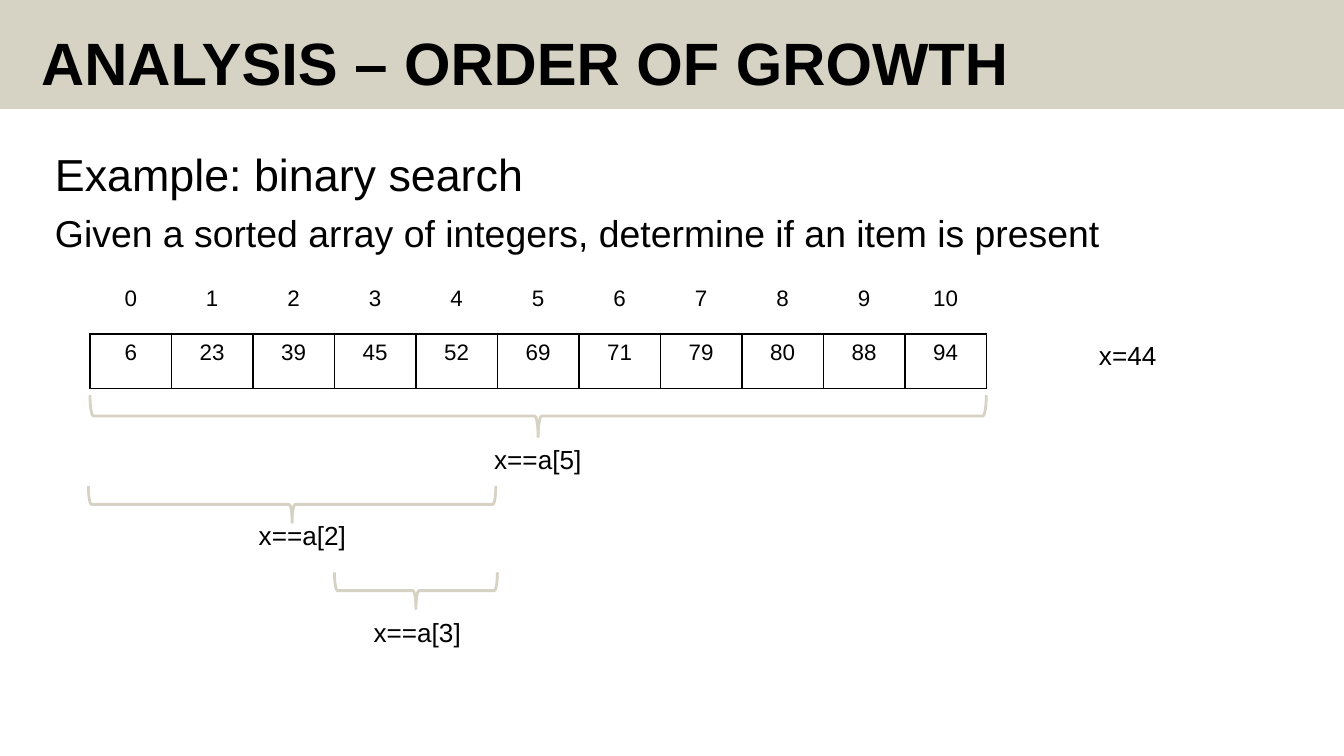
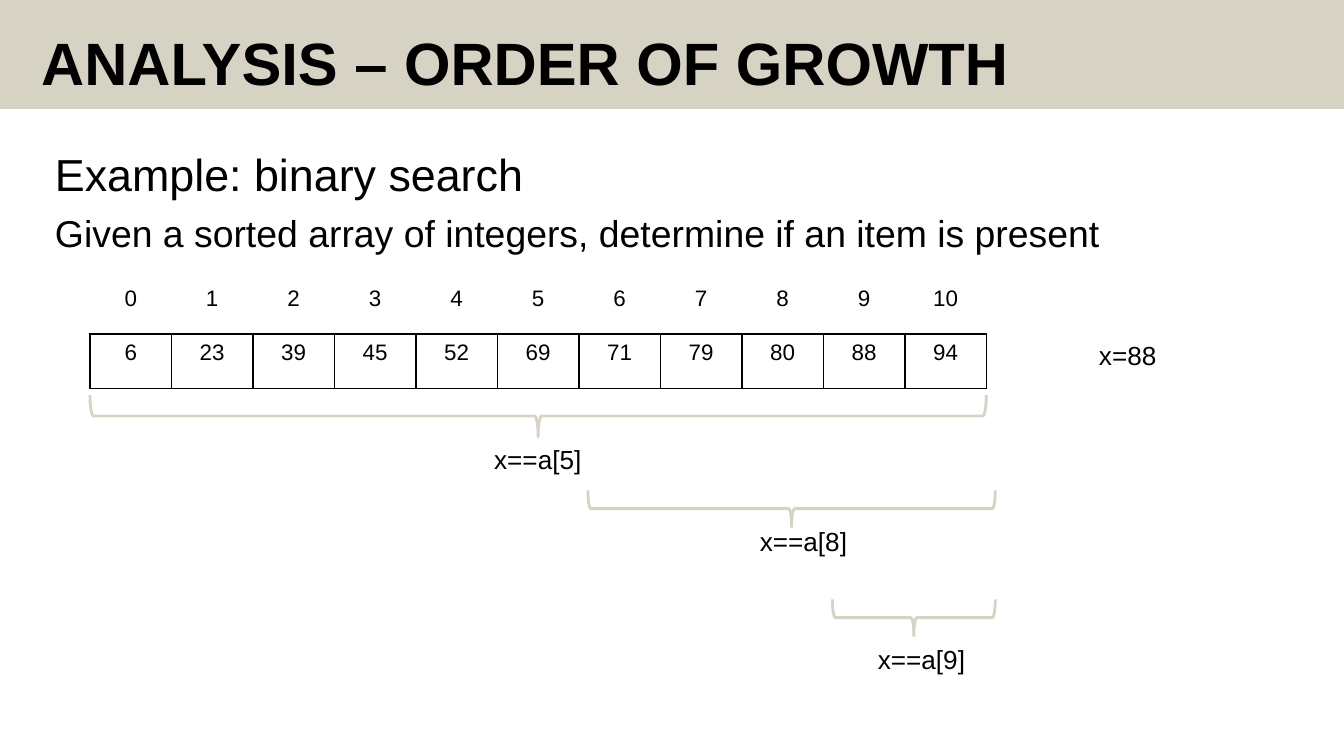
from dataclasses import dataclass

from lxml.etree import SubElement
from pptx import Presentation
from pptx.dml.color import RGBColor
from pptx.enum.shapes import MSO_SHAPE
from pptx.enum.text import MSO_ANCHOR, MSO_AUTO_SIZE, PP_ALIGN
from pptx.oxml.ns import qn
from pptx.util import Cm, Pt


@dataclass(frozen=True)
class Theme:
    font: str = "Arial"
    ink: str = "000000"
    paper: str = "FFFFFF"
    stone: str = "D6D2C4"
    title: int = 32
    heading: int = 24
    body: int = 20
    label: int = 14
    cell: int = 12


theme = Theme()


def write(paragraph, text, size, bold=False, align=PP_ALIGN.LEFT, line=None, before=None):
    paragraph.alignment = align
    paragraph.line_spacing = line
    if before is not None:
        paragraph.space_before = Pt(before)
    span = paragraph.add_run()
    span.text = text
    span.font.name = theme.font
    span.font.size = Pt(size)
    span.font.bold = bold
    span.font.color.rgb = RGBColor.from_string(theme.ink)


def add_frame(page, left, top, width, height, wrap=True, anchor=MSO_ANCHOR.TOP):
    box = page.shapes.add_textbox(Cm(left), Cm(top), Cm(width), Cm(height))
    frame = box.text_frame
    frame.word_wrap = wrap
    frame.auto_size = MSO_AUTO_SIZE.NONE if wrap else MSO_AUTO_SIZE.SHAPE_TO_FIT_TEXT
    frame.vertical_anchor = anchor
    return frame


VALUES = [6, 23, 39, 45, 52, 69, 71, 79, 80, 88, 94]
ARRAY_LEFT, ARRAY_TOP = 1.7, 5.28
CELL_WIDTH, CELL_HEIGHT = 1.54, 1.03
LABEL_WIDTH, LABEL_HEIGHT = 2.16, 0.86

# Each step: first cell, cell count, probed index, brace top, depth, label top, brace shift, label shift
FULL_RANGE = (0, 11, 5, 7.47, 0.79, 8.26, 0, 0)
SEARCHES = [
    ("x=44", [FULL_RANGE, (0, 5, 2, 9.19, 0.69, 9.7, -0.03, 0.2), (3, 2, 3, 10.82, 0.69, 11.53, 0, 0.03)]),
    ("x=88", [FULL_RANGE, (6, 5, 8, 9.27, 0.69, 9.8, 0.17, 0.23), (9, 2, 9, 11.33, 0.69, 12.04, 0.17, 0.15)]),
]

deck = Presentation()
deck.slide_width, deck.slide_height = Cm(25.4), Cm(14.29)

for target, steps in SEARCHES:
    page = deck.slides.add_slide(deck.slide_layouts[6])

    band = page.shapes.add_shape(MSO_SHAPE.RECTANGLE, 0, 0, deck.slide_width, Cm(2.06))
    band.shadow.inherit = False
    band.fill.solid()
    band.fill.fore_color.rgb = RGBColor.from_string(theme.stone)
    band.line.fill.background()

    title = add_frame(page, 0.53, 0.43, 21.9, 1.63, anchor=MSO_ANCHOR.MIDDLE)
    write(title.paragraphs[0], "ANALYSIS – ORDER OF GROWTH", size=theme.title, bold=True, line=0.9)

    body = add_frame(page, 0.79, 2.77, 23.22, 10.41)
    write(body.paragraphs[0], "Example: binary search", size=theme.heading, line=0.9)
    write(body.add_paragraph(), "Given a sorted array of integers, determine if an item is present",
          size=theme.body, line=0.9, before=7.5)

    array = page.shapes.add_table(2, len(VALUES), Cm(ARRAY_LEFT), Cm(ARRAY_TOP),
                                  Cm(CELL_WIDTH * len(VALUES)), Cm(CELL_HEIGHT * 2)).table
    array.first_row = array.horz_banding = False
    for row, numbers in enumerate([range(len(VALUES)), VALUES]):
        for column, number in enumerate(numbers):
            cell = array.cell(row, column)
            write(cell.text_frame.paragraphs[0], str(number), size=theme.cell, align=PP_ALIGN.CENTER)
            properties = cell._tc.get_or_add_tcPr()
            for side in ("lnL", "lnR", "lnT", "lnB"):
                color = theme.ink if row == 1 or side == "lnB" else theme.paper
                border = SubElement(properties, qn(f"a:{side}"), w=str(Pt(1)))
                SubElement(SubElement(border, qn("a:solidFill")), qn("a:srgbClr"), val=color)
            cell.fill.background()

    goal = add_frame(page, 20.52, 6.3, 1.6, LABEL_HEIGHT, wrap=False)
    write(goal.paragraphs[0], target, size=theme.label)

    for first, count, probe, top, depth, label_top, shift, label_shift in steps:
        span_width = count * CELL_WIDTH
        center = ARRAY_LEFT + first * CELL_WIDTH + shift + span_width / 2
        label = add_frame(page, center + label_shift - LABEL_WIDTH / 2, label_top,
                          LABEL_WIDTH, LABEL_HEIGHT, wrap=False)
        write(label.paragraphs[0], f"x==a[{probe}]", size=theme.label)

        brace = page.shapes.add_shape(MSO_SHAPE.RIGHT_BRACE, Cm(center - depth / 2),
                                      Cm(top + depth / 2 - span_width / 2), Cm(depth), Cm(span_width))
        brace.rotation = 90
        brace.shadow.inherit = False
        brace.fill.background()
        brace.line.color.rgb = RGBColor.from_string(theme.stone)
        brace.line.width = Pt(1.5)

deck.save("out.pptx")
